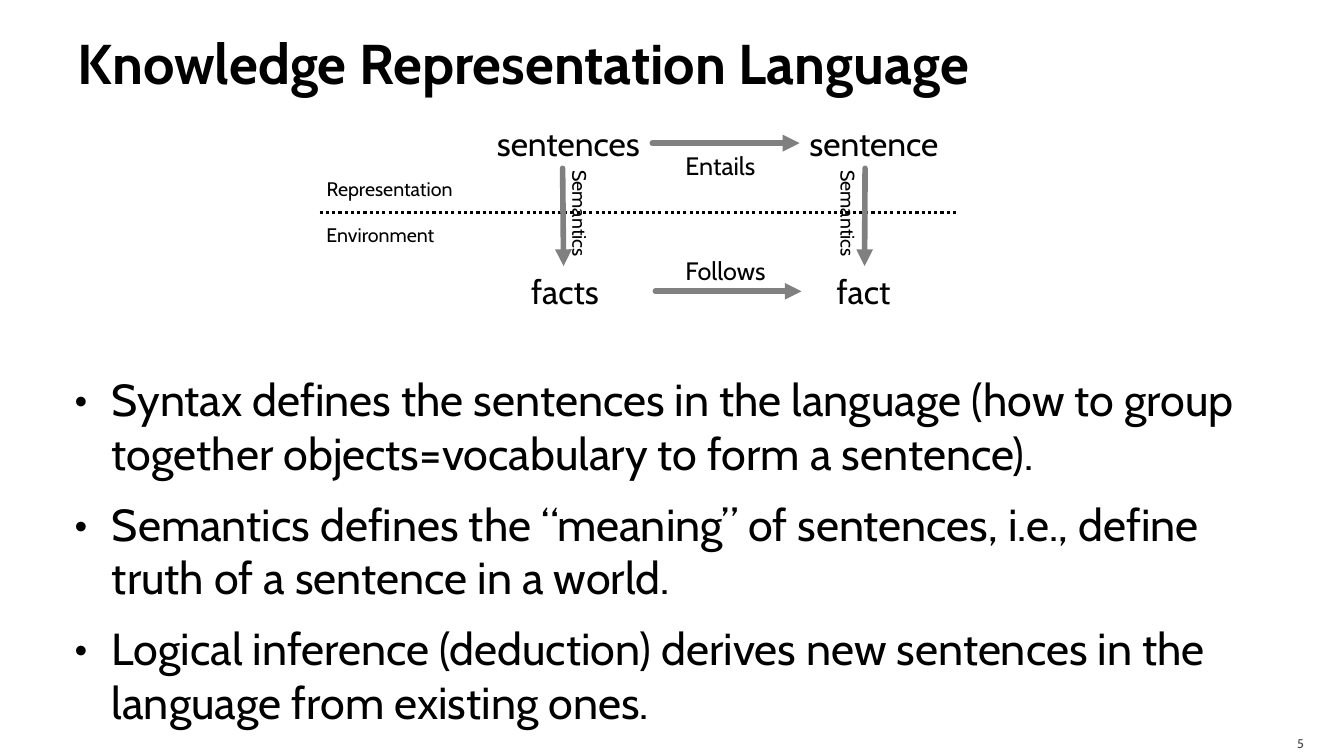
from dataclasses import dataclass
from typing import Optional

from lxml.etree import SubElement
from pptx import Presentation
from pptx.dml.color import RGBColor
from pptx.enum.dml import MSO_LINE
from pptx.enum.shapes import MSO_CONNECTOR
from pptx.enum.text import MSO_ANCHOR, MSO_AUTO_SIZE, PP_ALIGN
from pptx.oxml.ns import qn
from pptx.util import Inches, Pt

FONT = "Cabin"
COLORS = {"text": "000000", "arrow": "808080", "number": "454545"}
BOTTOM, LEFT, RIGHT, TOP = 2, 1, 3, 0


@dataclass
class Label:
    text: str
    left: float
    top: float
    width: float
    height: float
    size: int
    rotation: int = 0


@dataclass
class Line:
    start: tuple[float, float]
    end: tuple[float, float]
    color: str = "arrow"
    width: float = 4
    arrow: bool = True
    begin_at: Optional[tuple[str, int]] = None
    end_at: Optional[tuple[str, int]] = None


BULLETS = [
    "Syntax defines the sentences in the language (how to group together "
    "objects=vocabulary to form a sentence).",
    "Semantics defines the “meaning” of sentences, i.e., define truth of a "
    "sentence in a world.",
    "Logical inference (deduction) derives new sentences in the language "
    "from existing ones.",
]
LABELS = [
    Label("sentences", 4.83, 1.17, 1.64, 0.5, 24),
    Label("sentence", 7.93, 1.17, 1.5, 0.5, 24),
    Label("facts", 5.17, 2.64, 0.89, 0.5, 24),
    Label("fact", 8.2, 2.64, 0.75, 0.5, 24),
    Label("Representation", 3.14, 1.71, 1.49, 0.34, 14),
    Label("Environment", 3.14, 2.16, 1.27, 0.34, 14),
    Label("Entails", 6.7, 1.44, 0.9, 0.4, 18),
    Label("Follows", 6.7, 2.48, 1.02, 0.4, 18),
    Label("Semantics", 5.13, 2.04, 1.24, 0.34, 14, 90),
    Label("Semantics", 7.79, 2.04, 1.24, 0.34, 14, 90),
]
LINES = [
    Line((3.17, 2.11), (9.5, 2.11), "text", 2.25, arrow=False),
    Line((6.48, 1.42), (7.93, 1.42),
         begin_at=("sentences", RIGHT), end_at=("sentence", LEFT)),
    Line((6.5, 2.89), (7.95, 2.89)),
    Line((5.58, 1.67), (5.59, 2.64)),
    Line((8.58, 1.67), (8.58, 2.64), end_at=("fact", TOP)),
]


def place(sp, left: float, top: float, width: float, height: float) -> None:
    sp.left, sp.top = Inches(left), Inches(top)
    sp.width, sp.height = Inches(width), Inches(height)


def set_margins(tf, left: float, top: float, right: float, bottom: float) -> None:
    tf.margin_left, tf.margin_top = Inches(left), Inches(top)
    tf.margin_right, tf.margin_bottom = Inches(right), Inches(bottom)


def format_runs(p, size: float, color: str = "text", bold: bool = False) -> None:
    for r in p.runs:
        r.font.name, r.font.size, r.font.bold = FONT, Pt(size), bold
        r.font.color.rgb = RGBColor.from_string(COLORS[color])


def add_title(slide) -> None:
    sp = slide.shapes.title
    place(sp, 0.67, 0.08, 12, 1.08)
    tf = sp.text_frame
    tf.text = "Knowledge Representation Language"
    tf.auto_size = MSO_AUTO_SIZE.NONE
    tf.vertical_anchor = MSO_ANCHOR.MIDDLE
    set_margins(tf, 0.1, 0.05, 0.05, 0.05)
    tf.paragraphs[0].alignment = PP_ALIGN.LEFT
    format_runs(tf.paragraphs[0], 40, bold=True)


def add_bullets(slide) -> None:
    sp = slide.placeholders[1]
    place(sp, 0.67, 3.59, 12, 3.58)
    tf = sp.text_frame
    tf.text = "\n".join(BULLETS)
    tf.auto_size = MSO_AUTO_SIZE.NONE
    tf.vertical_anchor = MSO_ANCHOR.TOP
    set_margins(tf, 0.06, 0.1, 0.1, 0.05)
    for p in tf.paragraphs:
        p.space_before = p.space_after = Pt(6)
        format_runs(p, 32)
        pPr = p._p.get_or_add_pPr()
        pPr.set("marL", str(Inches(0.38)))
        pPr.set("indent", str(Inches(-0.37)))
        color = SubElement(pPr, qn("a:buClr"))
        SubElement(color, qn("a:srgbClr"), val=COLORS["text"])
        SubElement(pPr, qn("a:buFont"), typeface=FONT)
        SubElement(pPr, qn("a:buChar"), char="•")


def add_label(slide, label: Label):
    sp = slide.shapes.add_textbox(Inches(label.left), Inches(label.top),
                                  Inches(label.width), Inches(label.height))
    sp.rotation = label.rotation
    tf = sp.text_frame
    tf.text = label.text
    tf.word_wrap = label.rotation != 0
    tf.auto_size = MSO_AUTO_SIZE.SHAPE_TO_FIT_TEXT
    format_runs(tf.paragraphs[0], label.size)
    return sp


def add_line(slide, line: Line, boxes: dict) -> None:
    """Draw a line, joined to the labelled boxes it names."""
    sp = slide.shapes.add_connector(MSO_CONNECTOR.STRAIGHT,
                                    *map(Inches, line.start + line.end))
    if line.begin_at:
        name, side = line.begin_at
        sp.begin_connect(boxes[name], side)
    if line.end_at:
        name, side = line.end_at
        sp.end_connect(boxes[name], side)
    sp.line.width = Pt(line.width)
    sp.line.color.rgb = RGBColor.from_string(COLORS[line.color])
    if line.arrow:
        ln = sp.line._get_or_add_ln()
        ln.set("cap", "rnd")
        SubElement(ln, qn("a:tailEnd"), type="triangle")
    else:
        sp.line.dash_style = MSO_LINE.ROUND_DOT
    SubElement(sp._element.spPr, qn("a:effectLst"))


def add_slide_number(slide) -> None:
    sp = slide.shapes.add_textbox(Inches(11.96), Inches(7.2), Inches(1.07), Inches(0.3))
    tf = sp.text_frame
    tf.text = "5"
    tf.word_wrap = True
    tf.vertical_anchor = MSO_ANCHOR.MIDDLE
    set_margins(tf, 0.1, 0.05, 0.1, 0)
    tf.paragraphs[0].alignment = PP_ALIGN.RIGHT
    format_runs(tf.paragraphs[0], 9, "number")


def main() -> None:
    prs = Presentation()
    prs.slide_width, prs.slide_height = Inches(13.33), Inches(7.5)
    slide = prs.slides.add_slide(prs.slide_layouts[1])
    add_title(slide)
    add_bullets(slide)
    add_slide_number(slide)
    boxes = {label.text: add_label(slide, label) for label in LABELS}
    for line in LINES:
        add_line(slide, line, boxes)
    prs.save("out.pptx")


if __name__ == "__main__":
    main()
